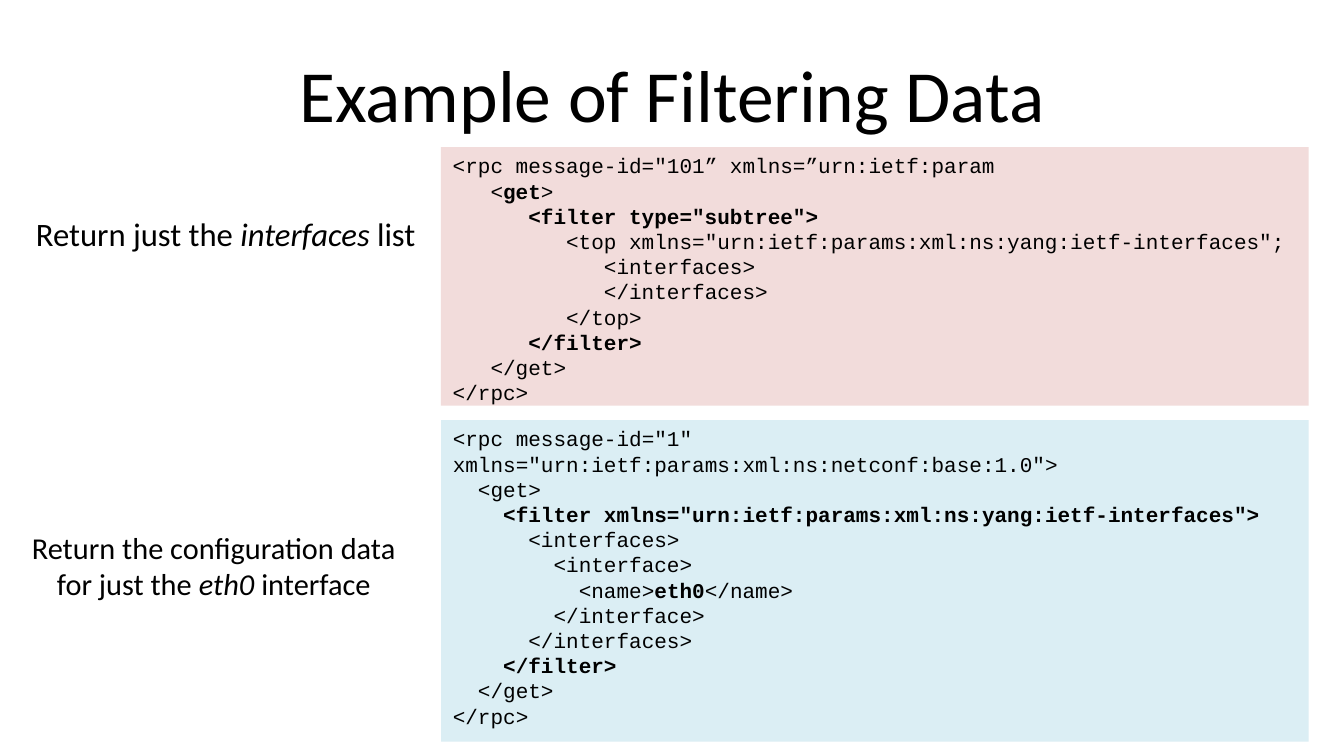
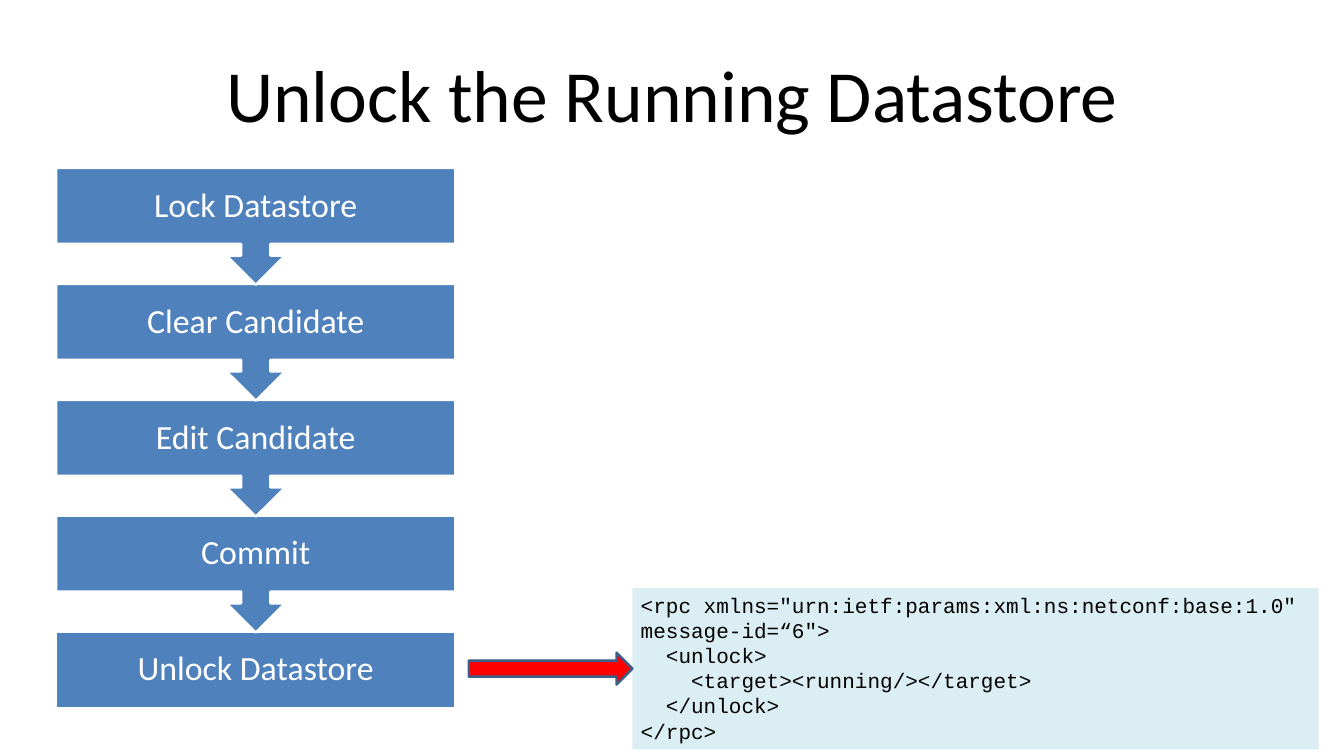
from pptx import Presentation
from pptx.dml.color import RGBColor
from pptx.enum.shapes import MSO_SHAPE as Shape
from pptx.enum.text import MSO_ANCHOR as Anchor, MSO_AUTO_SIZE as Fit, PP_ALIGN as Align
from pptx.oxml.xmlchemy import OxmlElement
from pptx.util import Pt

PX = 9144
SLIDE_SIZE = (1600, 900)
TITLE_AREA = (80, 36, 1440, 150)
WIDE_INSETS = (14, 7, 14, 7)
TEXT_INSETS = (10, 5, 10, 5)
STEP_INSETS = (23, 23, 23, 23)
BODY_FONT, CODE_FONT = "Calibri", "Courier New"
COLORS = {
    "text": "000000",
    "white": "FFFFFF",
    "pink": "F2DCDB",
    "aqua": "DBEEF4",
    "step": "4F81BD",
    "pointer": "FF0000",
    "pointer_edge": "3A5F8C",
}

FILTER_TITLE = "Example of Filtering Data"
LIST_CAPTION = ["Return just the |interfaces| list"]
LIST_REQUEST = [
    '<rpc message-id="101” xmlns=”urn:ietf:param',
    "   <|get|>",
    '      |<filter type="subtree">|',
    '         <top xmlns="urn:ietf:params:xml:ns:yang:ietf-interfaces";',
    "            <interfaces>",
    "            </interfaces>",
    "         </top>",
    "      |</filter>|",
    "   </get>",
    "</rpc>",
]
ETH0_CAPTION = ["Return the configuration data for just the |eth0| interface"]
ETH0_REQUEST = [
    '<rpc message-id="1" xmlns="urn:ietf:params:xml:ns:netconf:base:1.0">',
    "  <get>",
    '    |<filter xmlns="urn:ietf:params:xml:ns:yang:ietf-interfaces">|',
    "      <interfaces>",
    "        <interface>",
    "          <name>|eth0|</name>",
    "        </interface>",
    "      </interfaces>",
    "    |</filter>|",
    "  </get>",
    "</rpc>",
]

UNLOCK_TITLE = "Unlock the Running Datastore"
STEPS = ["Lock Datastore", "Clear Candidate", "Edit Candidate", "Commit", "Unlock Datastore"]
STEP_LEFT, STEP_TOP, STEP_WIDTH, STEP_HEIGHT = 67, 200, 475, 91
STEP_PITCH, CALLOUT_HEIGHT = 138, 139
UNLOCK_REQUEST = [
    '<rpc xmlns="urn:ietf:params:xml:ns:netconf:base:1.0" message-id=“6">',
    "  <unlock>",
    "    <target><running/></target>",
    "  </unlock>",
    "</rpc>",
]


def emu(area):
    return [length * PX for length in area]


def paint(part, fill, line=None):
    part.fill.solid()
    part.fill.fore_color.rgb = RGBColor.from_string(COLORS[fill])
    if line:
        part.line.color.rgb = RGBColor.from_string(COLORS[line])
        part.line.width = Pt(2)
    else:
        part.line.fill.background()


def write(part, lines, size, font=BODY_FONT, color="text", align=Align.LEFT,
          anchor=Anchor.TOP, insets=TEXT_INSETS, fit=Fit.NONE, wrap=True,
          emphasis="bold", spacing=1.0):
    frame = part.text_frame
    frame.word_wrap, frame.auto_size, frame.vertical_anchor = wrap, fit, anchor
    (frame.margin_left, frame.margin_top,
     frame.margin_right, frame.margin_bottom) = emu(insets)
    for row, line in enumerate(lines):
        paragraph = frame.add_paragraph() if row else frame.paragraphs[0]
        paragraph.alignment, paragraph.line_spacing = align, spacing
        paragraph.space_before = paragraph.space_after = Pt(0)
        properties = paragraph._p.get_or_add_pPr()
        properties.set("marL", "0")
        properties.set("indent", "0")
        properties.append(OxmlElement("a:buNone"))
        for position, piece in enumerate(line.split("|")):
            if piece:
                run = paragraph.add_run()
                run.text = piece
                run.font.name, run.font.size = font, Pt(size)
                run.font.color.rgb = RGBColor.from_string(COLORS[color])
                setattr(run.font, emphasis, position % 2 == 1)


def place(part, area):
    part.left, part.top, part.width, part.height = emu(area)


def add_box(slide, kind, area, fill, line=None):
    box = slide.shapes.add_shape(kind, *emu(area))
    box.shadow.inherit = False
    paint(box, fill, line)
    return box


def add_text(slide, area, lines, size, **style):
    write(slide.shapes.add_textbox(*emu(area)), lines, size, **style)


def add_titled_slide(deck, layout, title):
    slide = deck.slides.add_slide(deck.slide_layouts[layout])
    place(slide.shapes.title, TITLE_AREA)
    write(slide.shapes.title, [title], 63, align=Align.CENTER,
          anchor=Anchor.MIDDLE, insets=WIDE_INSETS)
    return slide


def build_filtering(deck):
    slide = add_titled_slide(deck, 1, FILTER_TITLE)
    list_panel = add_box(slide, Shape.RECTANGLE, (525, 175, 1033, 308), "pink")
    eth0_panel = slide.placeholders[1]
    place(eth0_panel, (525, 500, 1033, 383))
    paint(eth0_panel, "aqua")
    for panel, request in ((list_panel, LIST_REQUEST), (eth0_panel, ETH0_REQUEST)):
        write(panel, request, 18, font=CODE_FONT, insets=WIDE_INSETS)
    add_text(slide, (33, 250, 479, 57), LIST_CAPTION, 28, emphasis="italic",
             wrap=False, fit=Fit.SHAPE_TO_FIT_TEXT)
    add_text(slide, (17, 625, 475, 98), ETH0_CAPTION, 26, emphasis="italic",
             align=Align.CENTER, fit=Fit.SHAPE_TO_FIT_TEXT)


def build_unlocking(deck):
    slide = add_titled_slide(deck, 5, UNLOCK_TITLE)
    request_panel = add_box(slide, Shape.RECTANGLE, (753, 700, 817, 192), "aqua")
    write(request_panel, UNLOCK_REQUEST, 18, font=CODE_FONT, fit=Fit.SHAPE_TO_FIT_TEXT)
    last = len(STEPS) - 1
    for index in range(last, -1, -1):
        top = STEP_TOP + index * STEP_PITCH
        label_area = (STEP_LEFT, top, STEP_WIDTH, STEP_HEIGHT)
        if index == last:
            add_box(slide, Shape.RECTANGLE, label_area, "step", "white")
        else:
            callout = add_box(slide, Shape.UP_ARROW_CALLOUT,
                              (STEP_LEFT, top, STEP_WIDTH, CALLOUT_HEIGHT), "step", "white")
            callout.rotation = 180
        add_text(slide, label_area, [STEPS[index]], 29, color="white", align=Align.CENTER,
                 anchor=Anchor.MIDDLE, insets=STEP_INSETS, spacing=0.9)
    add_box(slide, Shape.RIGHT_ARROW, (558, 777, 195, 38), "pointer", "pointer_edge")


def main():
    deck = Presentation()
    deck.slide_width, deck.slide_height = emu(SLIDE_SIZE)
    build_filtering(deck)
    build_unlocking(deck)
    deck.save("out.pptx")


if __name__ == "__main__":
    main()
